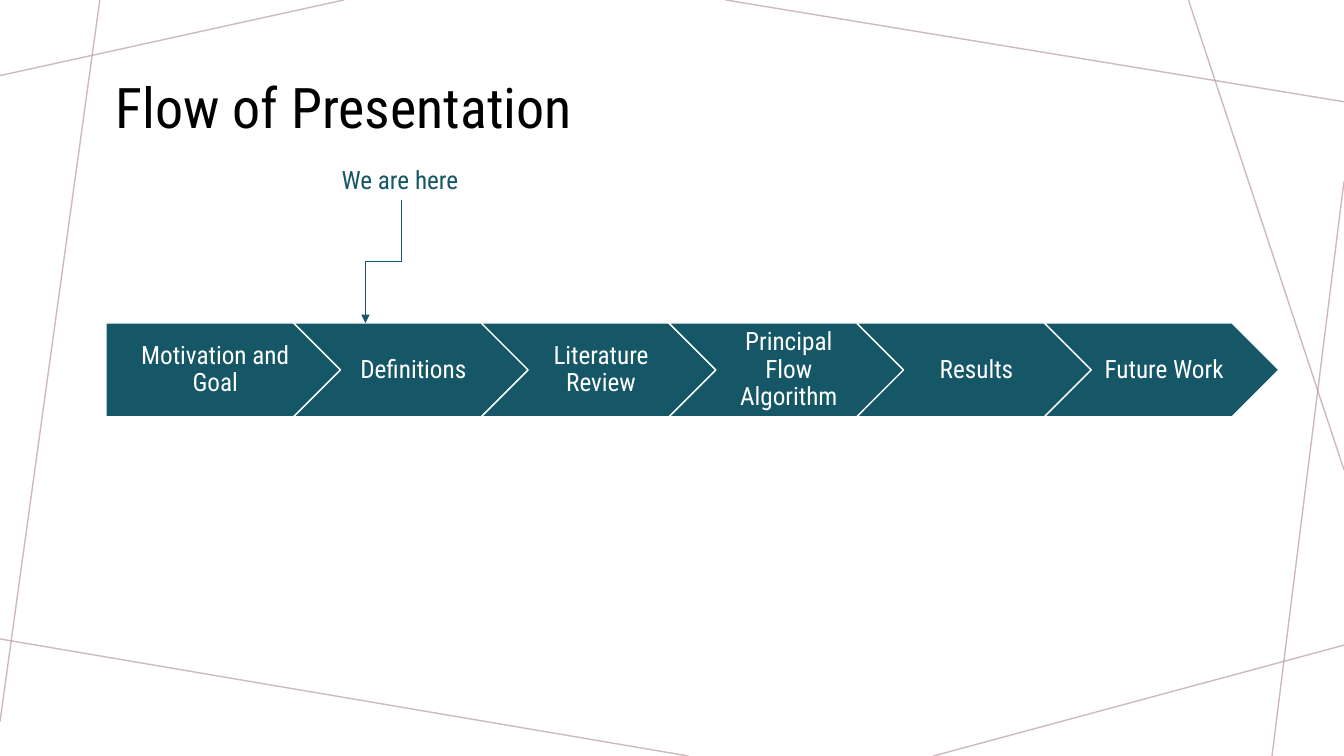
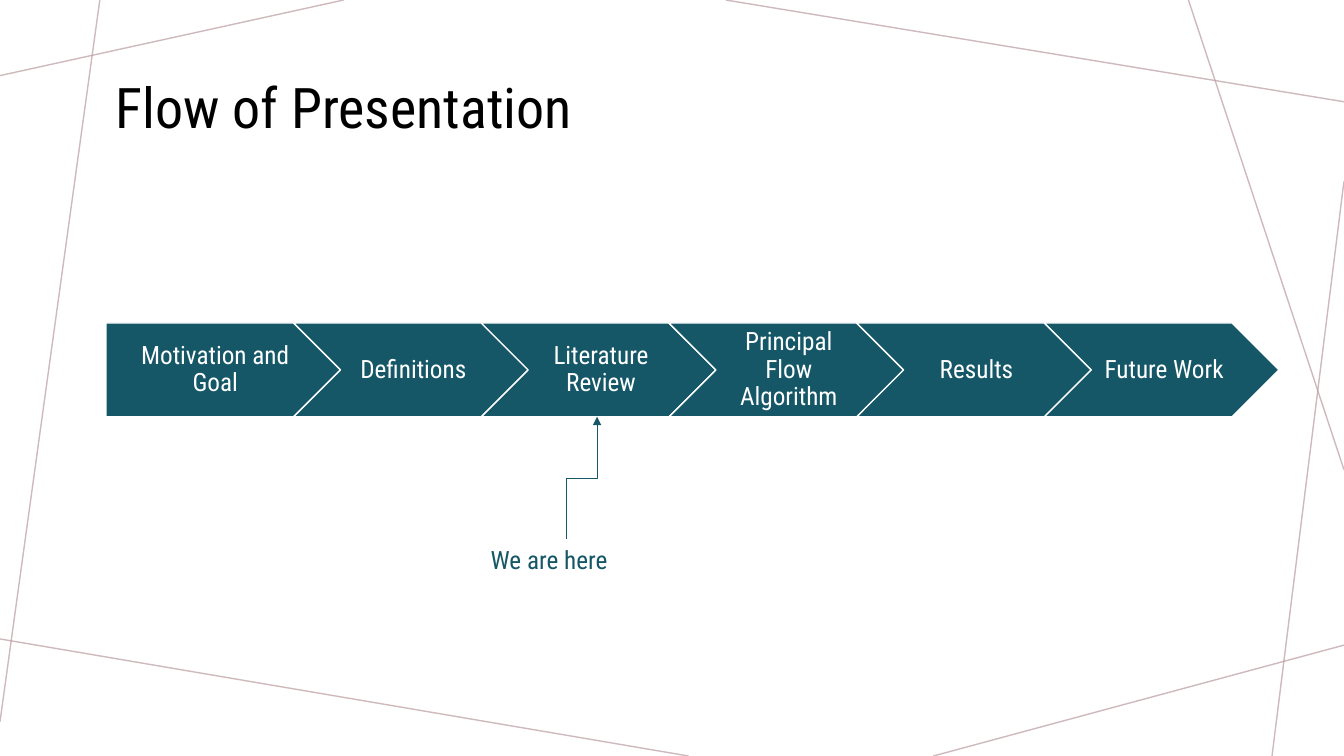
"""Build two agenda slides that mark the current step in a chevron flow."""
import pptx
import pptx.dml.color
import pptx.enum.shapes
import pptx.enum.text
import pptx.oxml
import pptx.oxml.ns
import pptx.util

Pt = pptx.util.Pt
SHAPES = pptx.enum.shapes.MSO_SHAPE
CONNECTORS = pptx.enum.shapes.MSO_CONNECTOR
CENTER = pptx.enum.text.PP_ALIGN.CENTER
MIDDLE = pptx.enum.text.MSO_ANCHOR.MIDDLE
FONT = "Roboto Condensed"
TEAL, MAUVE, WHITE, BLACK = "155767", "BA9CA0", "FFFFFF", "000000"

BACKGROUND_LINES = [
    (245.5, 0, 0, 54),
    (71.3, 0, 0, 515.5),
    (491.8, 540, 0, 456.4),
    (960, 460.8, 666.7, 540),
    (960, 129.6, 908.6, 540),
    (960, 335.5, 848.9, 0),
    (960, 72.7, 518.4, 0),
]
STEPS = ["Motivation and Goal", "Definitions", "Literature Review",
         "Principal Flow Algorithm", "Results", "Future Work"]
FLOW_LEFT, FLOW_TOP = 75.6, 230.7
STEP_WIDTH = 167.6
STEP_PITCH = 0.8 * STEP_WIDTH
STEP_HEIGHT = 0.4 * STEP_WIDTH

MARKERS = [
    {"label": (236.9, 113.8), "start": (287, 143), "end": (261, 230.7)},
    {"label": (343.4, 385.2), "start": (404.5, 385.2), "end": (426.5, 297.7)},
]


def write(shape, text, size=18, color=TEAL, align=None, spacing=None, anchor=None, margins=None):
    """Put one formatted paragraph into a shape."""
    frame = shape.text_frame
    frame.word_wrap = True
    if anchor is not None:
        frame.vertical_anchor = anchor
    if margins:
        frame.margin_left, frame.margin_right = Pt(margins[0]), Pt(margins[1])
    para = frame.paragraphs[0]
    para.alignment = align
    para.line_spacing = spacing
    span = para.add_run()
    span.text = text
    span.font.name = FONT
    span.font.size = Pt(size)
    span.font.color.rgb = pptx.dml.color.RGBColor.from_string(color)


def draw_line(page, kind, points, color, width):
    """Add a connector without a shadow."""
    line = page.shapes.add_connector(kind, *[Pt(value) for value in points])
    line.line.color.rgb = pptx.dml.color.RGBColor.from_string(color)
    line.line.width = Pt(width)
    pptx.oxml.ns.qn("a:effectLst")
    properties = line.element.spPr
    properties.append(properties.makeelement(pptx.oxml.ns.qn("a:effectLst"), {}))
    return line


deck = pptx.Presentation()
deck.slide_width, deck.slide_height = Pt(960), Pt(540)

for marker in MARKERS:
    page = deck.slides.add_slide(deck.slide_layouts[6])

    for points in BACKGROUND_LINES:
        line = draw_line(page, CONNECTORS.STRAIGHT, points, MAUVE, 1)
        color = line.element.spPr.find(".//" + pptx.oxml.ns.qn("a:srgbClr"))
        color.append(color.makeelement(pptx.oxml.ns.qn("a:alpha"), {"val": "70000"}))

    for index, step in enumerate(STEPS):
        first = index == 0
        box = page.shapes.add_shape(
            SHAPES.PENTAGON if first else SHAPES.CHEVRON,
            Pt(FLOW_LEFT + index * STEP_PITCH), Pt(FLOW_TOP), Pt(STEP_WIDTH), Pt(STEP_HEIGHT))
        box.shadow.inherit = False
        box.fill.solid()
        box.fill.fore_color.rgb = pptx.dml.color.RGBColor.from_string(TEAL)
        box.line.color.rgb = pptx.dml.color.RGBColor.from_string(WHITE)
        box.line.width = Pt(1)
        write(box, step, color=WHITE, align=CENTER, spacing=0.9, anchor=MIDDLE,
              margins=(7.5 if first else 5.6, 2))

    title = page.shapes.add_textbox(Pt(75.6), Pt(48.2), Pt(725), Pt(55.4))
    write(title, "Flow of Presentation", size=40, color=BLACK)

    (start_x, start_y), (end_x, end_y) = marker["start"], marker["end"]
    center_x, center_y = (start_x + end_x) / 2, (start_y + end_y) / 2
    half_rise, half_shift = (end_y - start_y) / 2, (start_x - end_x) / 2
    arrow = draw_line(page, CONNECTORS.ELBOW,
                      (center_x - half_rise, center_y - half_shift,
                       center_x + half_rise, center_y + half_shift), TEAL, 0.5)
    arrow.element.spPr.find(pptx.oxml.ns.qn("a:xfrm")).set("rot", "5400000")
    outline = arrow.element.spPr.find(pptx.oxml.ns.qn("a:ln"))
    outline.append(outline.makeelement(pptx.oxml.ns.qn("a:tailEnd"), {"type": "triangle"}))

    label_left, label_top = marker["label"]
    label = page.shapes.add_textbox(Pt(label_left), Pt(label_top), Pt(121.7), Pt(29))
    write(label, "We are here")

deck.save("out.pptx")
